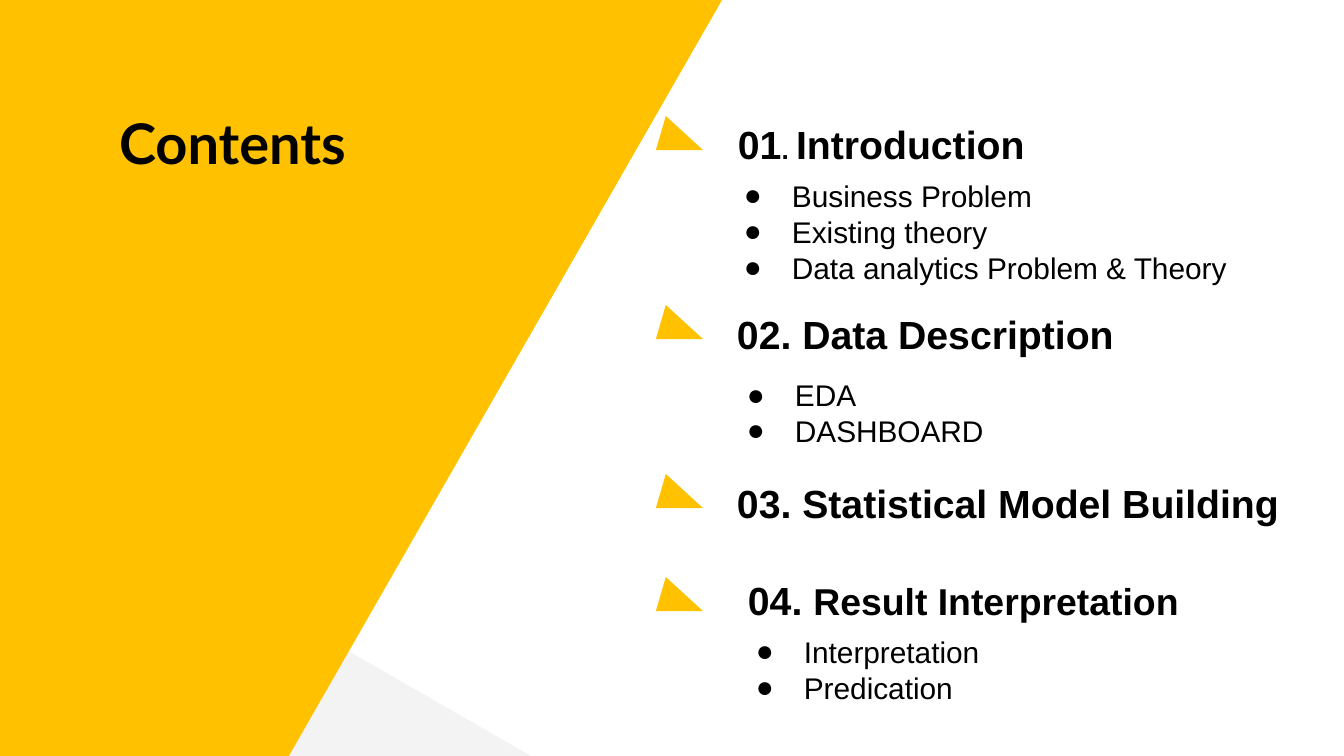
from dataclasses import dataclass

from lxml.etree import SubElement
from pptx import Presentation
from pptx.dml.color import RGBColor
from pptx.enum.shapes import MSO_SHAPE
from pptx.enum.text import MSO_ANCHOR
from pptx.oxml.ns import qn
from pptx.shapes.autoshape import Shape
from pptx.slide import Slide
from pptx.text.text import TextFrame, _Paragraph
from pptx.util import Pt

EMU_PER_PX = 914400 / 134.4
COLORS = {"ink": "000000", "accent": "FFC100", "pale": "F3F3F3"}
HEADING = {"name": "Arial", "size": Pt(21), "bold": True}
TOPIC = {"name": "Arial", "size": Pt(16), "bold": False}
TITLE = {"name": "Lato", "size": Pt(30), "bold": True}
TOPIC_INDENT, BULLET_HANG = 67, 48


def px(length: int) -> int:
    return round(length * EMU_PER_PX)


@dataclass(frozen=True)
class Box:
    left: int
    top: int
    width: int
    height: int

    def emu(self) -> tuple[int, ...]:
        return tuple(px(n) for n in (self.left, self.top, self.width, self.height))


@dataclass(frozen=True)
class Section:
    marker_top: int
    heading_box: Box
    heading: tuple[tuple[str, int], ...]  # text and point size of each run
    topics_box: Box | None = None
    topics: tuple[str, ...] = ()
    topic_insets: tuple[int, int] = (9, 5)


SECTIONS = (
    Section(116, Box(729, 115, 501, 58),
            (("01", 21), (". ", 14), ("Introduction", 21)),
            Box(716, 173, 530, 51),
            ("Business Problem", "Existing theory", "Data analytics Problem & Theory")),
    Section(305, Box(728, 305, 655, 58), (("02. Data Description", 21),),
            Box(715, 364, 441, 99), ("EDA", "DASHBOARD"), (13, 13)),
    Section(474, Box(728, 474, 673, 58), (("03. Statistical Model Building", 21),)),
    Section(577, Box(739, 571, 530, 58),
            (("04. ", 21), ("Result Interpretation", 20)),
            Box(728, 629, 530, 116), ("Interpretation", "Predication")),
)


def add_triangle(slide: Slide, kind: MSO_SHAPE, box: Box, color: str) -> Shape:
    triangle = slide.shapes.add_shape(kind, *box.emu())
    triangle.shadow.inherit = False
    triangle.fill.solid()
    triangle.fill.fore_color.rgb = RGBColor.from_string(COLORS[color])
    triangle.line.fill.background()
    return triangle


def add_marker(slide: Slide, top: int) -> None:
    marker = add_triangle(slide, MSO_SHAPE.ISOSCELES_TRIANGLE, Box(656, top, 47, 34), "accent")
    marker.adjustments[0] = 0.79
    marker._element.spPr.xfrm.set("flipH", "1")


def add_frame(slide: Slide, box: Box, insets: tuple[int, int] = (9, 5)) -> TextFrame:
    frame = slide.shapes.add_textbox(*box.emu()).text_frame
    side, end = map(px, insets)
    layout = {"word_wrap": True, "vertical_anchor": MSO_ANCHOR.TOP,
              "margin_left": side, "margin_right": side,
              "margin_top": end, "margin_bottom": end}
    for attribute, value in layout.items():
        setattr(frame, attribute, value)
    return frame


def add_words(paragraph: _Paragraph, words: str, style: dict) -> None:
    run = paragraph.add_run()
    run.text = words
    for attribute, value in style.items():
        setattr(run.font, attribute, value)
    run.font.color.rgb = RGBColor.from_string(COLORS["ink"])


def add_bullet(paragraph: _Paragraph) -> None:
    properties = paragraph._p.get_or_add_pPr()
    properties.set("marL", str(px(TOPIC_INDENT)))
    properties.set("indent", str(-px(BULLET_HANG)))
    bullet_color = SubElement(properties, qn("a:buClr"))
    SubElement(bullet_color, qn("a:srgbClr"), val=COLORS["ink"])
    SubElement(properties, qn("a:buFont"), typeface="Arial")
    SubElement(properties, qn("a:buChar"), char="●")


def add_section(slide: Slide, section: Section) -> None:
    add_marker(slide, section.marker_top)
    heading = add_frame(slide, section.heading_box).paragraphs[0]
    for words, size in section.heading:
        add_words(heading, words, HEADING | {"size": Pt(size)})
    if section.topics_box is None:
        return
    frame = add_frame(slide, section.topics_box, section.topic_insets)
    for index, topic in enumerate(section.topics):
        paragraph = frame.add_paragraph() if index else frame.paragraphs[0]
        add_bullet(paragraph)
        add_words(paragraph, topic, TOPIC)


def main() -> None:
    deck = Presentation()
    deck.slide_width, deck.slide_height = px(1344), px(756)
    slide = deck.slides.add_slide(deck.slide_layouts[6])

    add_triangle(slide, MSO_SHAPE.RIGHT_TRIANGLE, Box(277, 610, 254, 146), "pale")
    panel = add_triangle(slide, MSO_SHAPE.RIGHT_TRIANGLE, Box(-269, 269, 1260, 722), "accent")
    panel.rotation = 90

    title = add_frame(slide, Box(110, 104, 422, 58)).paragraphs[0]
    add_words(title, "Contents", TITLE)
    for section in SECTIONS:
        add_section(slide, section)
    deck.save("out.pptx")


if __name__ == "__main__":
    main()
